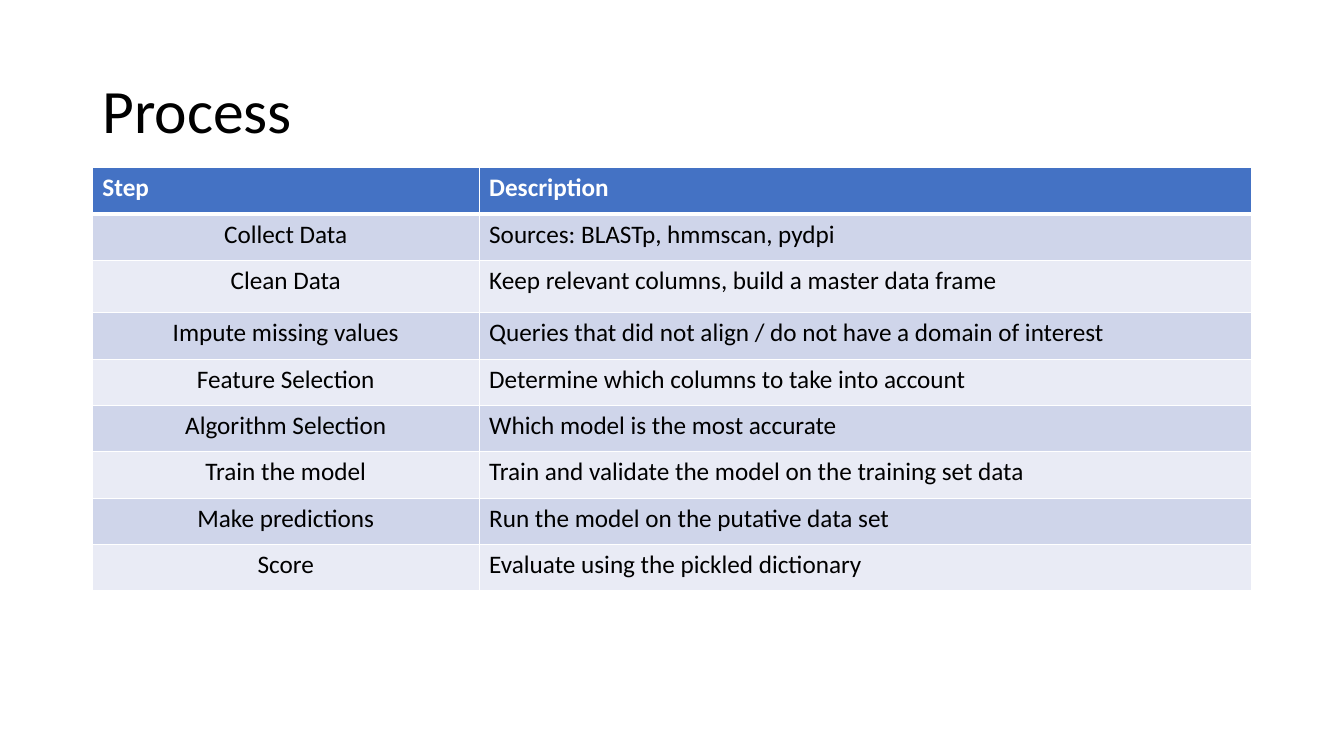
from dataclasses import dataclass

from lxml.etree import SubElement
from pptx import Presentation
from pptx.dml.color import RGBColor
from pptx.enum.text import MSO_ANCHOR as Anchor, PP_ALIGN as Align
from pptx.oxml.ns import qn
from pptx.slide import Slide
from pptx.table import _Cell as Cell
from pptx.text.text import _Paragraph as Paragraph
from pptx.util import Length, Pt


@dataclass(frozen=True)
class Theme:
    """Colours, font and type sizes of the slide."""
    font: str = "Calibri"
    title_size: Length = Pt(44)
    table_size: Length = Pt(18)
    text: str = "000000"
    header_text: str = "FFFFFF"
    header_fill: str = "4472C4"
    band_fills: tuple[str, str] = ("CFD5EA", "E9EBF5")
    border: str = "FFFFFF"
    thin_border: Length = Pt(1)
    thick_border: Length = Pt(3)


@dataclass(frozen=True)
class Step:
    """One row of the process table."""
    name: str
    description: str
    height: Length = Pt(33.12)


THEME = Theme()
LEFT, WIDTH = Pt(66), Pt(828)
TITLE_TOP, TITLE_HEIGHT = Pt(28.75), Pt(104.38)
TABLE_TOP = Pt(119.8)
STEP_WIDTH = Pt(276.25)

HEADER = Step("Step", "Description")
STEPS = [
    Step("Collect Data", "Sources: BLASTp, hmmscan, pydpi"),
    Step("Clean Data", "Keep relevant columns, build a master data frame", Pt(37.44)),
    Step("Impute missing values",
         "Queries that did not align / do not have a domain of interest"),
    Step("Feature Selection", "Determine which columns to take into account"),
    Step("Algorithm Selection", "Which model is the most accurate"),
    Step("Train the model", "Train and validate the model on the training set data"),
    Step("Make predictions", "Run the model on the putative data set"),
    Step("Score", "Evaluate using the pickled dictionary"),
]


def add_run(paragraph: Paragraph, text: str, size: Length, color: str,
            bold: bool = False) -> None:
    """Append one formatted run to a paragraph."""
    run = paragraph.add_run()
    run.text = text
    run.font.name = THEME.font
    run.font.size = size
    run.font.bold = bold
    run.font.color.rgb = RGBColor.from_string(color)


def add_title(slide: Slide, text: str) -> None:
    """Add the slide title, centred vertically in its box."""
    shape = slide.shapes.add_textbox(LEFT, TITLE_TOP, WIDTH, TITLE_HEIGHT)
    frame = shape.text_frame
    frame.word_wrap = True
    frame.vertical_anchor = Anchor.MIDDLE
    paragraph = frame.paragraphs[0]
    paragraph.line_spacing = 0.9
    add_run(paragraph, text, THEME.title_size, THEME.text)


def set_borders(cell: Cell, top: Length, bottom: Length) -> None:
    """Draw the four borders of a cell; the sides are thin."""
    properties = cell._tc.get_or_add_tcPr()
    widths = {"a:lnL": THEME.thin_border, "a:lnR": THEME.thin_border,
              "a:lnT": top, "a:lnB": bottom}
    for tag, width in widths.items():
        line = SubElement(properties, qn(tag), w=str(int(width)))
        fill = SubElement(line, qn("a:solidFill"))
        SubElement(fill, qn("a:srgbClr"), val=THEME.border)


def fill_cell(cell: Cell, text: str, row: int, column: int) -> None:
    """Style a cell by its place in the table and write its text."""
    is_header = row == 0
    set_borders(cell,
                top=THEME.thick_border if row == 1 else THEME.thin_border,
                bottom=THEME.thick_border if is_header else THEME.thin_border)
    fill = THEME.header_fill if is_header else THEME.band_fills[(row - 1) % 2]
    cell.fill.solid()
    cell.fill.fore_color.rgb = RGBColor.from_string(fill)
    paragraph = cell.text_frame.paragraphs[0]
    paragraph.alignment = Align.LEFT if is_header or column else Align.CENTER
    add_run(paragraph, text, THEME.table_size,
            THEME.header_text if is_header else THEME.text, bold=is_header)


def add_process_table(slide: Slide, rows: list[Step]) -> None:
    """Add the table of steps, header row first."""
    height = Length(sum(step.height for step in rows))
    table = slide.shapes.add_table(len(rows), 2, LEFT, TABLE_TOP, WIDTH, height).table
    table.columns[0].width = STEP_WIDTH
    table.columns[1].width = Length(WIDTH - STEP_WIDTH)
    for row, step in enumerate(rows):
        table.rows[row].height = step.height
        for column, text in enumerate((step.name, step.description)):
            fill_cell(table.cell(row, column), text, row, column)


def main() -> None:
    """Build and save the presentation."""
    presentation = Presentation()
    presentation.slide_width, presentation.slide_height = Pt(960), Pt(540)
    slide = presentation.slides.add_slide(presentation.slide_layouts[6])
    add_title(slide, "Process")
    add_process_table(slide, [HEADER, *STEPS])
    presentation.save("out.pptx")


main()
